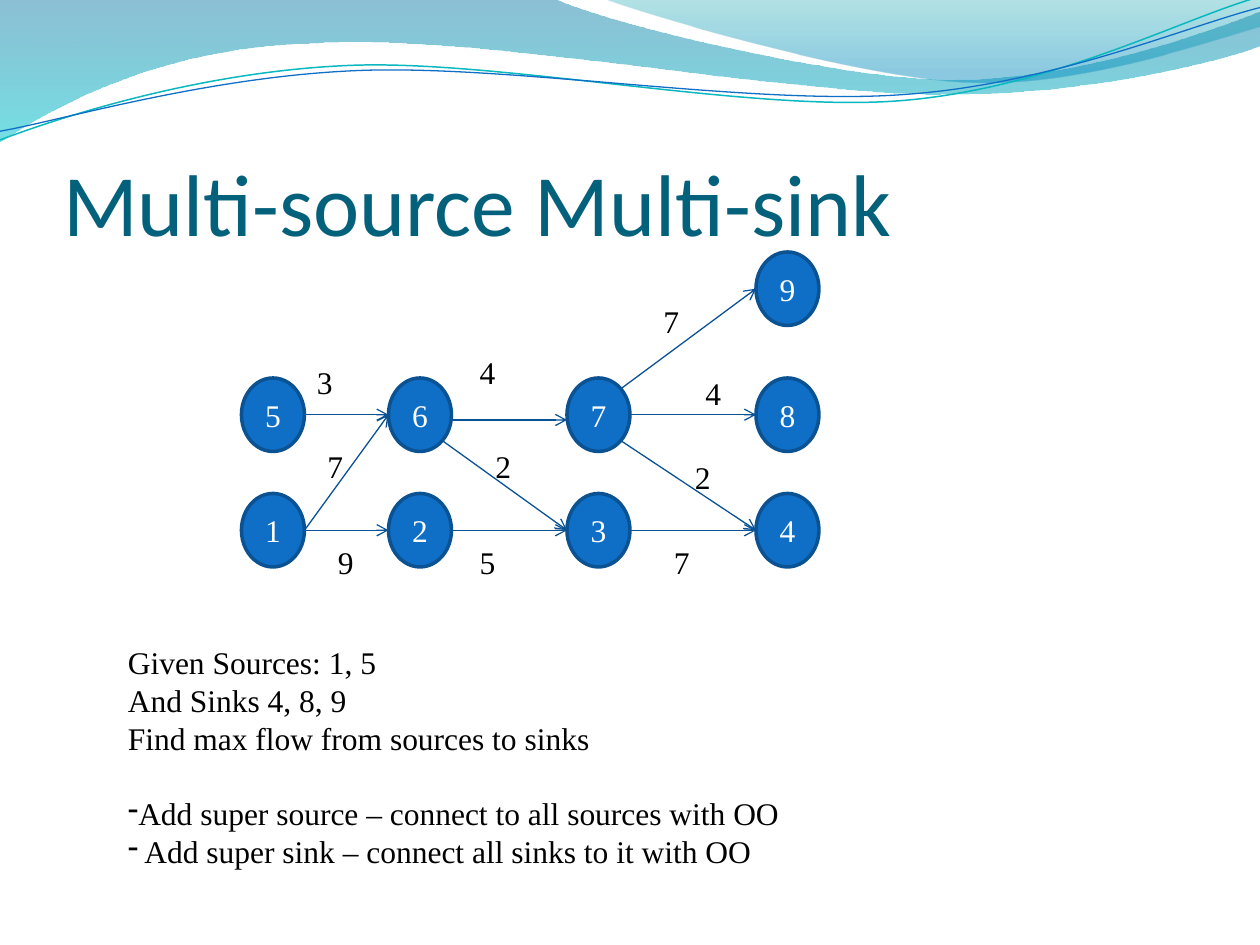
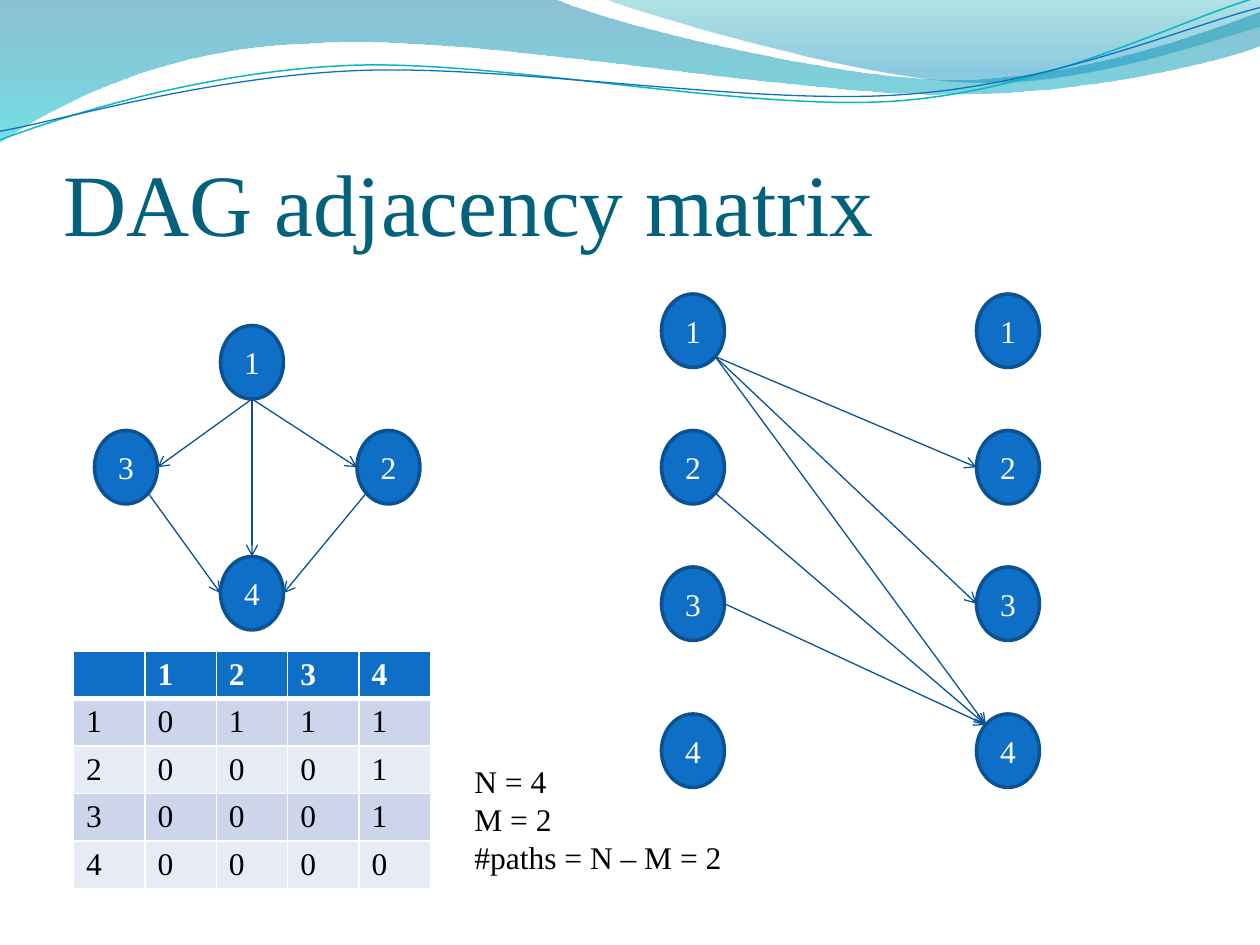
from lxml.etree import SubElement
from pptx import Presentation
from pptx.dml.color import RGBColor
from pptx.enum.shapes import MSO_CONNECTOR, MSO_SHAPE
from pptx.enum.text import MSO_ANCHOR, MSO_AUTO_SIZE, PP_ALIGN
from pptx.oxml.ns import qn
from pptx.util import Pt

COLORS = {
    "title": "04617B", "node": "0F6FC6", "node_line": "0B5292", "edge": "095295",
    "text": "000000", "white": "FFFFFF", "row_odd": "CCD5EA", "row_even": "E7EBF5",
    "deep_sea": "0074A1", "lagoon": "00C6CF", "teal": "00A1A9", "sky": "008BBF",
    "teal_line": "0AB8BF", "blue_line": "0F6FC6",
}
SERIF, SANS = "Times New Roman", "Calibri"
NODE_W, NODE_H = 36, 42
DIAGONAL = 0.35  # offset of a slanting site from an ellipse's centre

# Sites on a node, as fractions of its width and height
SITES = {
    "top": (0.5, 0), "bottom": (0.5, 1), "left": (0, 0.5), "right": (1, 0.5),
    "top_left": (0.5 - DIAGONAL, 0.5 - DIAGONAL),
    "top_right": (0.5 + DIAGONAL, 0.5 - DIAGONAL),
    "bottom_left": (0.5 - DIAGONAL, 0.5 + DIAGONAL),
    "bottom_right": (0.5 + DIAGONAL, 0.5 + DIAGONAL),
}

# Wave outlines in points: a pair is a straight step, six numbers are a curve
BACK_WAVE = [
    (0, 0), (316.8, -0.7), (342.7, 12.2, 478.1, 45.4, 545.8, 45.4),
    (614.2, 45.4, 689.8, 18.7, 720, 6.5), (720.7, 25.9),
    (707.8, 31.7, 626.4, 54.7, 537.1, 54),
    (447.8, 54, 275, 20.2, 185, 24.5), (92.9, 25.9, 33.1, 59.8, -0.7, 81.4),
]
FRONT_WAVE = [
    (344.9, -0.7), (366.5, 7.9, 491, 44.6, 553.7, 46.8),
    (616.3, 49.7, 691.9, 23, 720, 15.1), (720, 0),
]
# The two thin curves are level here and tilted when drawn
CURVE_TILT = 357.3
TEAL_CURVE = [
    (-1.4, 63), (33.8, 51.7, 114.1, 29.4, 199.8, 29.9),
    (284.9, 30.3, 425.8, 67.3, 512.4, 64.9), (599, 62.4, 676.5, 25.7, 720.2, 15.5),
]
BLUE_CURVE = [
    (-1.1, 58), (32.9, 53.8, 118.3, 32.5, 204.1, 33),
    (290.6, 33.4, 428.9, 63.8, 515.5, 61.4), (601.3, 59.6, 678.4, 30.1, 721.4, 21.3),
]


def rgb(name):
    return RGBColor.from_string(COLORS[name])


def style(paragraph, color, size=18, font=SERIF, bold=False, align=PP_ALIGN.LEFT):
    paragraph.alignment = align
    paragraph.font.name = font
    paragraph.font.size = Pt(size)
    paragraph.font.bold = bold
    paragraph.font.color.rgb = rgb(color)


# Master: waves across the top
def add_outline(slide, outline, close):
    (start_x, start_y), *steps = outline
    points = [(Pt(x), Pt(y)) for step in steps for x, y in zip(step[::2], step[1::2])]
    builder = slide.shapes.build_freeform(Pt(start_x), Pt(start_y))
    builder.add_line_segments(points, close=close)
    wave = builder.convert_to_shape()
    wave.shadow.inherit = False
    # Merge each three points of a curved step into one Bézier segment
    segments = iter(list(wave.element.iter(qn("a:lnTo"))))
    for step in steps:
        segment = next(segments)
        if len(step) == 6:
            segment.tag = qn("a:cubicBezTo")
            for _ in range(2):
                control = next(segments)
                segment.append(control[0])
                control.getparent().remove(control)
    return wave


def add_wave(slide, outline, stops):
    wave = add_outline(slide, outline, True)
    wave.line.fill.background()
    wave.fill.gradient()
    wave.fill.gradient_angle = 270
    for stop, (position, color, _) in zip(wave.fill.gradient_stops, stops):
        stop.position = position
        stop.color.rgb = rgb(color)
    tints = wave.element.spPr.find(qn("a:gradFill")).iter(qn("a:srgbClr"))
    for tint, (_, _, opacity) in zip(tints, stops):
        SubElement(tint, qn("a:alpha"), val=str(opacity * 1000))
    return wave


def add_curve(slide, outline, color, width):
    curve = add_outline(slide, outline, False)
    curve.rotation = CURVE_TILT
    curve.fill.background()
    curve.line.color.rgb = rgb(color)
    curve.line.width = Pt(width)
    return curve


def decorate_master(prs, slide):
    """Draw the waves once and move them behind everything on the master."""
    waves = [
        add_wave(slide, BACK_WAVE, [(0, "deep_sea", 45), (1, "lagoon", 55)]),
        add_wave(slide, FRONT_WAVE, [(0, "teal", 30), (0.8, "sky", 45)]),
        add_curve(slide, TEAL_CURVE, "teal_line", 0.85),
        add_curve(slide, BLUE_CURVE, "blue_line", 0.75),
    ]
    tree = prs.slide_master.element.cSld.spTree
    for depth, wave in enumerate(waves, start=2):
        tree.insert(depth, wave.element)


def format_title_layout(layout):
    title = layout.placeholders[0]
    title.left, title.top, title.width, title.height = Pt(36), Pt(55), Pt(648), Pt(90)
    frame = title.text_frame
    frame.margin_left = frame.margin_right = frame.margin_bottom = 0
    frame.margin_top = Pt(3.6)
    frame.vertical_anchor = MSO_ANCHOR.BOTTOM
    frame.auto_size = MSO_AUTO_SIZE.NONE


def add_titled_slide(prs, layout, title, font):
    slide = prs.slides.add_slide(layout)
    slide.shapes.title.text = title
    style(slide.shapes.title.text_frame.paragraphs[0], "title", 50, font)
    return slide


# Text
def add_text(slide, box, lines):
    frame = slide.shapes.add_textbox(*map(Pt, box)).text_frame
    frame.word_wrap = True
    frame.text = "\n".join(lines)
    for paragraph in frame.paragraphs:
        style(paragraph, "text")
    return frame.paragraphs


def add_dashes(paragraphs):
    paragraphs[0].space_before = Pt(21.6)
    for paragraph in paragraphs:
        properties = paragraph._p.get_or_add_pPr()
        properties.set("marL", "0")
        properties.set("indent", "0")
        font = properties.find(qn("a:defRPr"))
        font.addprevious(SubElement(properties, qn("a:buFontTx")))
        font.addprevious(SubElement(properties, qn("a:buChar"), char="-"))


# Graphs
def add_node(slide, x, y, name):
    node = slide.shapes.add_shape(MSO_SHAPE.OVAL, Pt(x), Pt(y), Pt(NODE_W), Pt(NODE_H))
    node.shadow.inherit = False
    node.fill.solid()
    node.fill.fore_color.rgb = rgb("node")
    node.line.color.rgb = rgb("node_line")
    node.line.width = Pt(2)
    node.text_frame.text = name
    node.text_frame.vertical_anchor = MSO_ANCHOR.MIDDLE
    style(node.text_frame.paragraphs[0], "white", align=PP_ALIGN.CENTER)


def add_edge(slide, start, end):
    edge = slide.shapes.add_connector(MSO_CONNECTOR.STRAIGHT, *map(Pt, start + end))
    edge.line.color.rgb = rgb("edge")
    edge.line.width = Pt(0.75)
    SubElement(edge.line._get_or_add_ln(), qn("a:tailEnd"), type="arrow")
    SubElement(edge.element.spPr, qn("a:effectLst"))


def add_graph(slide, left, top, nodes, edges, weights=()):
    """nodes: key -> (x, y); edges: (from, site, to, site[, drop]); weights: (text, x, y)."""
    def site(key, side, drop):
        x, y = nodes[key]
        across, down = SITES[side]
        return left + x + across * NODE_W, top + y + down * NODE_H + drop

    for key, (x, y) in nodes.items():
        add_node(slide, left + x, top + y, key[-1])
    for source, out_side, target, in_side, *drop in edges:
        shift = sum(drop)
        add_edge(slide, site(source, out_side, shift), site(target, in_side, shift))
    for weight, x, y in weights:
        add_text(slide, (left + x, top + y, 24, 29), [weight])


# Adjacency matrix
def underline_cell(cell):
    rule = SubElement(cell._tc.get_or_add_tcPr(), qn("a:lnB"), w=str(Pt(3)))
    SubElement(SubElement(rule, qn("a:solidFill")), qn("a:srgbClr"), val=COLORS["white"])


def add_matrix(slide, left, top, rows):
    size = len(rows)
    matrix = slide.shapes.add_table(size, size, Pt(left), Pt(top),
                                    Pt(40.8 * size), Pt(24 * size)).table
    for r, row in enumerate(rows):
        header = r == 0
        fill = "node" if header else "row_odd" if r % 2 else "row_even"
        for c, value in enumerate(row):
            cell = matrix.cell(r, c)
            if header:
                underline_cell(cell)
            cell.fill.solid()
            cell.fill.fore_color.rgb = rgb(fill)
            cell.text = value
            style(cell.text_frame.paragraphs[0], "white" if header else "text", bold=header)


# Slides
def fill_flow_slide(slide):
    columns, upper, lower = (0, 84, 186, 294), 72, 138
    nodes = {name: (x, lower) for name, x in zip("1234", columns)}
    nodes.update({name: (x, upper) for name, x in zip("5678", columns)})
    nodes["9"] = (columns[-1], 0)
    level = [("1", "2"), ("2", "3"), ("3", "4"), ("5", "6"), ("7", "8")]
    edges = [(a, "right", b, "left") for a, b in level] + [
        ("6", "right", "7", "left", 3),
        ("1", "right", "6", "left"),
        ("6", "bottom_right", "3", "left"),
        ("7", "top_right", "9", "left"),
        ("7", "bottom_right", "4", "left"),
    ]
    weights = [
        ("9", 48, 163), ("5", 129, 163), ("7", 240, 163), ("3", 36, 60), ("4", 129, 54),
        ("2", 138, 108), ("7", 42, 108), ("4", 258, 66), ("7", 234, 25), ("2", 252, 114),
    ]
    add_graph(slide, 138, 144, nodes, edges, weights)
    task = add_text(slide, (66, 364, 402, 138), [
        "Given Sources: 1, 5", "And Sinks 4, 8, 9", "Find max flow from sources to sinks",
        "Add super source – connect to all sources with OO",
        " Add super sink – connect all sinks to it with OO",
    ])
    add_dashes(task[3:])


def fill_matrix_slide(slide):
    # Directed acyclic graph
    add_graph(slide, 54, 186,
              {"1": (72, 0), "2": (150, 60), "3": (0, 60), "4": (72, 132)},
              [("3", "bottom_right", "4", "left"), ("1", "bottom", "4", "top"),
               ("2", "bottom_left", "4", "right"), ("1", "bottom", "3", "right"),
               ("1", "bottom", "2", "left")])
    # Bipartite graph: sources on the left, targets on the right
    levels = dict(zip("1234", (0, 78, 156, 240)))
    pairs = {side + name: (x, y) for side, x in (("L", 0), ("R", 180))
             for name, y in levels.items()}
    add_graph(slide, 378, 168, pairs,
              [("L2", "bottom_right", "R4", "top_left"), ("L3", "right", "R4", "top_left"),
               ("L1", "bottom_right", "R2", "left"), ("L1", "bottom_right", "R3", "left"),
               ("L1", "bottom_right", "R4", "top_left")])
    add_matrix(slide, 42, 372, [["", *"1234"], "10111", "20001", "30001", "40000"])
    add_text(slide, (264, 432, 157, 72.7), ["N = 4", "M = 2", "#paths = N – M = 2"])


def main():
    prs = Presentation()
    prs.slide_width, prs.slide_height = Pt(720), Pt(540)
    title_only = prs.slide_layouts[5]
    format_title_layout(title_only)

    flow = add_titled_slide(prs, title_only, "Multi-source Multi-sink", SANS)
    decorate_master(prs, flow)
    fill_flow_slide(flow)
    fill_matrix_slide(add_titled_slide(prs, title_only, "DAG adjacency matrix", SERIF))
    prs.save("out.pptx")


if __name__ == "__main__":
    main()
